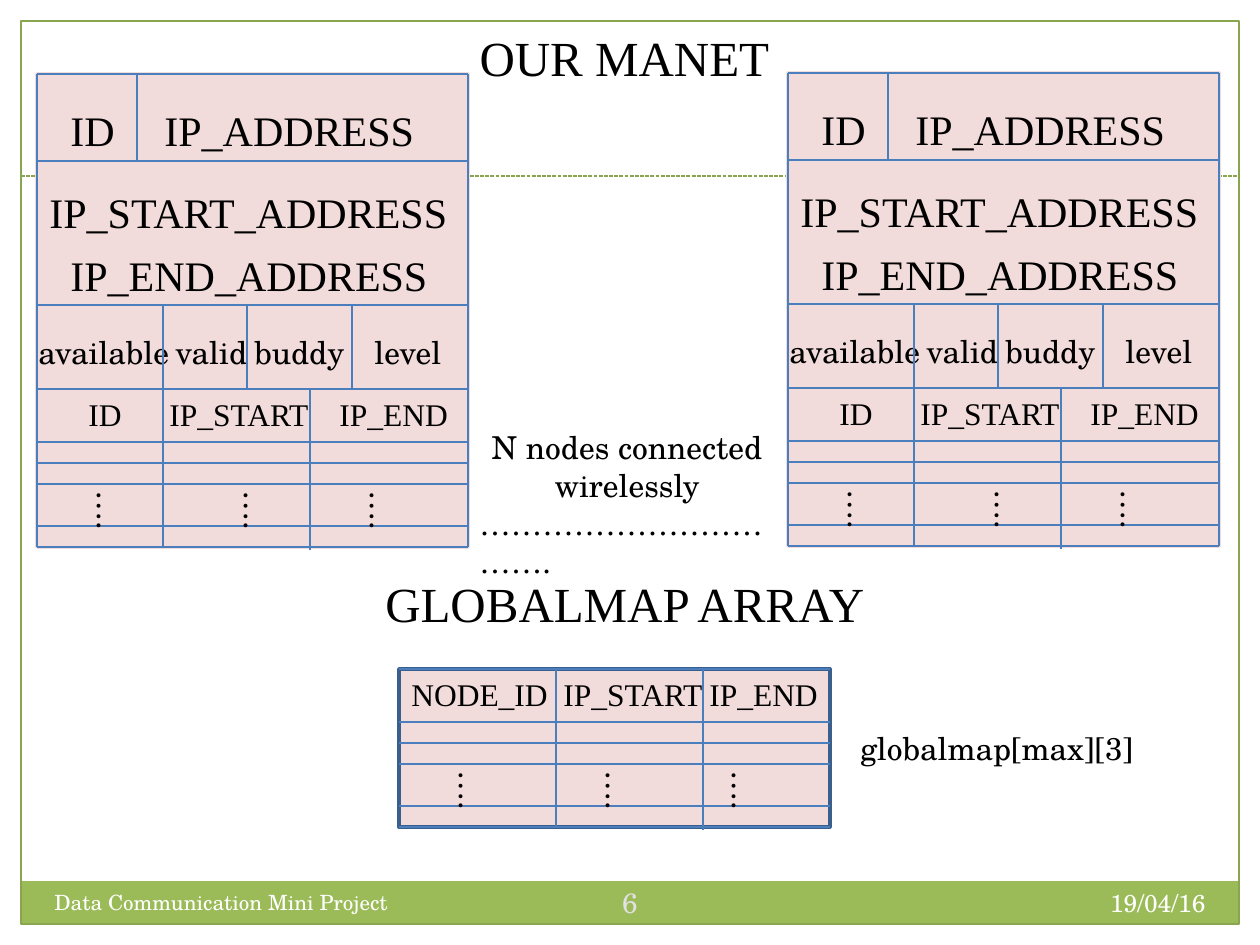
from itertools import accumulate

from lxml.etree import SubElement
from pptx import Presentation
from pptx.dml.color import RGBColor
from pptx.enum.dml import MSO_LINE
from pptx.enum.shapes import MSO_CONNECTOR, MSO_SHAPE
from pptx.enum.text import MSO_ANCHOR, PP_ALIGN as Align
from pptx.oxml.ns import qn
from pptx.util import Inches, Pt

PIXEL = Inches(1) / 126
COLORS = {"ink": "000000", "white": "FFFFFF", "number": "E1E1E1", "pink": "F2DCDB",
          "grid": "4B7EBC", "edge": "3A5F8C", "green": "9BBB59", "frame": "89A54F"}
SERIF = "Times New Roman"
SCHOOL = "TeX Gyre Schola"
ROW_HEIGHTS = [53, 21, 21, 42, 21]


def emu(*lengths):
    """Turn pixel lengths into EMU."""
    return [round(length * PIXEL) for length in lengths]


def color(name):
    """Look up a colour by name."""
    return RGBColor.from_string(COLORS[name])


def add_line(page, x1, y1, x2, y2, name="grid", dash=None):
    """Draw a thin straight line without a shadow."""
    line = page.shapes.add_connector(MSO_CONNECTOR.STRAIGHT, *emu(x1, y1, x2, y2))
    line.line.color.rgb = color(name)
    line.line.width = Pt(0.75)
    if dash:
        line.line.dash_style = dash
    SubElement(line._element.spPr, qn("a:effectLst"))


def add_box(page, left, top, width, height, fill=None, edge=None, weight=2):
    """Draw a plain rectangle."""
    box = page.shapes.add_shape(MSO_SHAPE.RECTANGLE, *emu(left, top, width, height))
    box.shadow.inherit = False
    if fill:
        box.fill.solid()
        box.fill.fore_color.rgb = color(fill)
    else:
        box.fill.background()
    if edge:
        box.line.color.rgb = color(edge)
        box.line.width = Pt(weight)
    else:
        box.line.fill.background()


def style_text(box, text, size, font, name="ink", align=Align.LEFT):
    """Set the text of a shape and format its runs."""
    frame = box.text_frame
    frame.word_wrap = True
    frame.vertical_anchor = MSO_ANCHOR.TOP
    frame.text = text
    for para in frame.paragraphs:
        para.alignment = align
        for span in para.runs:
            span.font.size = Pt(size)
            span.font.name = font
            span.font.color.rgb = color(name)


def add_text(page, left, top, width, height, text, size=18, font=SCHOOL, **style):
    """Add a wrapped text box and return it."""
    box = page.shapes.add_textbox(*emu(left, top, width, height))
    style_text(box, text, size, font, **style)
    return box


def add_index_table(page, left, top, width, columns, labels, tabs):
    """Rule a ranged list with a header, blank rows and an ellipsis row."""
    rows = list(accumulate(ROW_HEIGHTS, initial=0))
    for y in rows:
        add_line(page, left, top + y, left + width, top + y)
    for x, overshoot in zip(columns, (0, 3)):
        add_line(page, left + x, top, left + x, top + rows[-1] + overshoot)
    for x in (35, 182, 308):
        dots = add_text(page, left + x, top + 89, 63, 75, "….")
        dots.text_frame._txBody.bodyPr.set("vert", "vert")
    header = add_text(page, left, top, width + 20, 50, labels, font=SERIF)
    stops = SubElement(header.text_frame.paragraphs[0]._p.get_or_add_pPr(), qn("a:tabLst"))
    for position in tabs:
        SubElement(stops, qn("a:tab"), pos=str(emu(position)[0]), algn="l")


def add_node(page, left, top):
    """Draw one network node with its address, state and range list."""
    width, height = 431, 473
    add_box(page, left, top, width, height, "pink", "pink")
    for x, y, box_width, text in [(21, 24, 78, "ID"), (115, 24, 294, "IP_ADDRESS"),
                                  (0, 106, 431, "IP_START_ADDRESS"),
                                  (21, 169, 410, "IP_END_ADDRESS")]:
        add_text(page, left + x, top + y, box_width, 63, text, 24, SERIF)
    for x, box_width, text in [(-11, 168, "available"), (126, 98, "valid"),
                               (205, 121, "buddy"), (325, 105, "level")]:
        add_text(page, left + x, top + 253, box_width, 50, text)
    for y in (0, 87, 231):
        add_line(page, left, top + y, left + width, top + y)
    for x, y1, y2 in [(0, 0, height), (width, 0, height), (100, 0, 87),
                      (126, 231, 315), (210, 231, 315), (315, 231, 315)]:
        add_line(page, left + x, top + y1, left + x, top + y2)
    add_index_table(page, left, top + 315, width, (126, 273),
                    "\tID\tIP_START\tIP_END", (39, 120, 290))


def add_global_map(page, left, top):
    """Draw the global map array with its heading and caption."""
    width = 431
    add_text(page, left - 252, top - 102, 966, 72, "GLOBALMAP ARRAY ", 28, SERIF,
             align=Align.CENTER)
    add_box(page, left, top, width, sum(ROW_HEIGHTS), "pink", "edge")
    add_index_table(page, left, top, width, (157, 304),
                    "NODE_ID\tIP_START\tIP_END", (152, 298))
    add_text(page, left + 449, top + 54, 369, 50, "globalmap[max][3]")


def add_frame(page, left, top, width, height):
    """Draw the page margins, border, dashed rule and footer band."""
    right = left + width
    add_line(page, left, top + 155, right, top + 155, "frame", MSO_LINE.SQUARE_DOT)
    for x, y, strip_width, strip_height in [(0, 0, 1260, top), (right, 0, left, 945),
                                            (0, 0, left, 945)]:
        add_box(page, x, y, strip_width, strip_height, "white")
    band = top + height - 43
    add_box(page, left, band, width, 43, "green")
    add_box(page, left, top, width, height, edge="frame", weight=0.75)
    add_text(page, left + 777, band + 1, 420, 50, "19/04/16", 14, name="white",
             align=Align.RIGHT)
    add_text(page, left + 21, band + 2, 494, 50, "Data Communication Mini Project", 12,
             name="white")
    number = add_text(page, left + 567, band - 9, 84, 60, "6", 16, name="number",
                      align=Align.CENTER)
    number.text_frame.vertical_anchor = MSO_ANCHOR.MIDDLE


def add_title(page, left, top, width, height):
    """Place and format the title placeholder."""
    title = page.shapes.title
    title.left, title.top, title.width, title.height = emu(left, top, width, height)
    style_text(title, "OUR MANET ", 28, SERIF, align=Align.CENTER)


def add_link_note(page, left, top, width, height):
    """Write the note between the two nodes."""
    note = add_text(page, left, top, width, height,
                    "N nodes connected wirelessly\n" + "…" * 11 + ".")
    note.text_frame.paragraphs[0].alignment = Align.CENTER


deck = Presentation()
deck.slide_width, deck.slide_height = Inches(10), Inches(7.5)
page = deck.slides.add_slide(deck.slide_layouts[5])
add_frame(page, 21, 21, 1218, 903)
add_title(page, 147, 21, 966, 72)
for node_left, node_top in [(37, 74), (788, 73)]:
    add_node(page, node_left, node_top)
add_link_note(page, 467, 422, 320, 202)
add_global_map(page, 399, 669)
deck.save("out.pptx")
